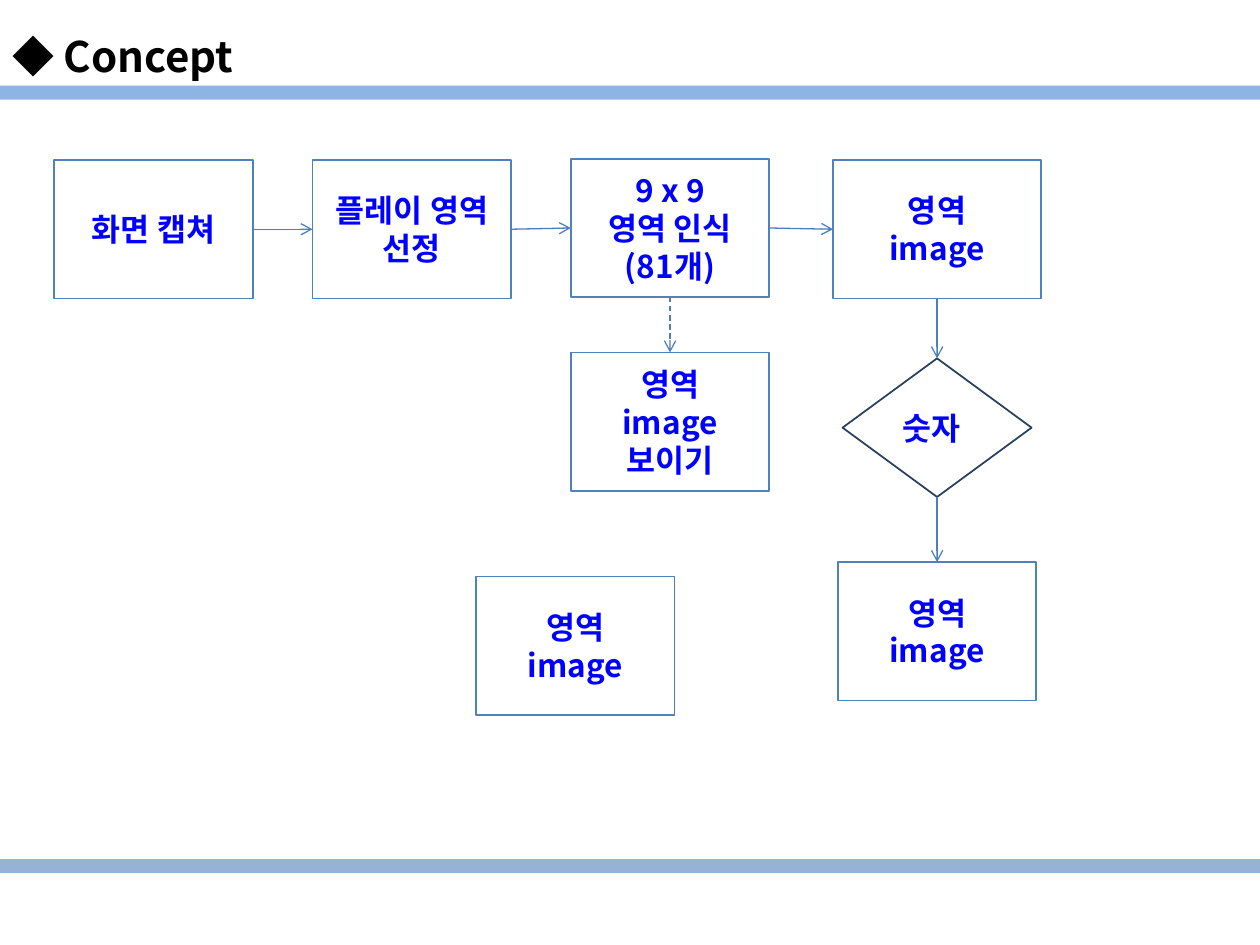
from pptx import Presentation
from pptx.dml.color import RGBColor
from pptx.enum.dml import MSO_LINE
from pptx.enum.shapes import MSO_CONNECTOR, MSO_SHAPE
from pptx.enum.text import MSO_ANCHOR, PP_ALIGN
from pptx.oxml.ns import qn
from pptx.util import Pt
from lxml.etree import SubElement

FONT = "Noto Sans CJK KR"
COLORS = {
    "top_bar": "8EB4E3", "bottom_bar": "95B3D7", "title": "000000",
    "box": "FFFFFF", "box_line": "4F81BD", "diamond_line": "27405E",
    "label": "0000FF", "arrow": "4B7EBC",
}
TOP, BOTTOM, LEFT, RIGHT = 0, 2, 1, 3
BOX_WIDTH, BOX_HEIGHT = 113.4, 79.2


def color(name):
    return RGBColor.from_string(COLORS[name])


def write_lines(shape, lines, size, color_name, align, spacing=None):
    frame = shape.text_frame
    frame.word_wrap = True
    frame.vertical_anchor = MSO_ANCHOR.MIDDLE
    frame.text = "\n".join(lines)
    for paragraph in frame.paragraphs:
        paragraph.alignment = align
        font = paragraph.font
        font.name, font.size, font.bold = FONT, Pt(size), True
        font.color.rgb = color(color_name)
        for run in paragraph.runs:
            properties = run._r.get_or_add_rPr()
            SubElement(properties, qn("a:ea"), typeface=FONT)
            if spacing:
                properties.set("spc", str(spacing))


def add_panel(slide, kind, box, fill, line=None):
    shape = slide.shapes.add_shape(kind, *map(Pt, box))
    shape.shadow.inherit = False
    shape.fill.solid()
    shape.fill.fore_color.rgb = color(fill)
    if line:
        shape.line.color.rgb = color(line)
        shape.line.width = Pt(1)
    else:
        shape.line.fill.background()
    return shape


def add_step(slide, left, top, lines, width=BOX_WIDTH):
    shape = add_panel(slide, MSO_SHAPE.RECTANGLE,
                      (left, top, width, BOX_HEIGHT), "box", "box_line")
    write_lines(shape, lines, 18, "label", PP_ALIGN.CENTER, spacing=10)
    return shape


def add_decision(slide, left, top, text):
    shape = add_panel(slide, MSO_SHAPE.DIAMOND,
                      (left, top, 108, BOX_HEIGHT), "box", "diamond_line")
    write_lines(shape, [text], 18, "label", PP_ALIGN.LEFT)
    return shape


def add_arrow(slide, start, start_side, end, end_side, dashed=False):
    connector = slide.shapes.add_connector(MSO_CONNECTOR.STRAIGHT, 0, 0, 0, 0)
    connector.begin_connect(start, start_side)
    connector.end_connect(end, end_side)
    connector.line.color.rgb = color("arrow")
    connector.line.width = Pt(0.75)
    if dashed:
        connector.line.dash_style = MSO_LINE.DASH
    SubElement(connector.line._get_or_add_ln(), qn("a:tailEnd"), type="arrow")
    SubElement(connector._element.spPr, qn("a:effectLst"))


def add_frame(slide, left, top, width):
    # Bars above and below the content, and the title
    for offset, name in ((49, "top_bar"), (491, "bottom_bar")):
        add_panel(slide, MSO_SHAPE.RECTANGLE, (left, top + offset, width, 8), name)
    title = slide.shapes.add_textbox(Pt(left), Pt(top - 8), Pt(width * 0.9), Pt(79.2))
    write_lines(title, ["◆ Concept"], 24, "title", PP_ALIGN.LEFT)


def add_flow(slide, left, top):
    image_lines = ["영역", "image"]
    pitch = 147.6

    # Main row
    capture = add_step(slide, left, top, ["화면 캡쳐"])
    select = add_step(slide, left + pitch, top, ["플레이 영역", "선정"])
    detect = add_step(slide, left + 2 * pitch, top - 0.7,
                      ["9 x 9", "영역 인식", "(81개)"])
    image = add_step(slide, left + 445, top, image_lines, width=119)
    for start, end in ((capture, select), (select, detect), (detect, image)):
        add_arrow(slide, start, RIGHT, end, LEFT)

    # Preview branch
    preview = add_step(slide, left + 2 * pitch, top + 110, [*image_lines, "보이기"])
    add_arrow(slide, detect, BOTTOM, preview, TOP, dashed=True)

    # Digit branch, centred under the image step
    center = left + 504.5
    digit = add_decision(slide, center - 54, top + 113.4, "숫자")
    result = add_step(slide, center - BOX_WIDTH / 2, top + 229.8, image_lines)
    add_arrow(slide, image, BOTTOM, digit, TOP)
    add_arrow(slide, digit, BOTTOM, result, TOP)

    # Unconnected step
    add_step(slide, left + 241, top + 238, image_lines)


def main():
    presentation = Presentation()
    presentation.slide_width, presentation.slide_height = Pt(720), Pt(540)
    slide = presentation.slides.add_slide(presentation.slide_layouts[6])
    add_frame(slide, 0, 0, 720)
    add_flow(slide, 31, 91.4)
    presentation.save("out.pptx")


if __name__ == "__main__":
    main()
